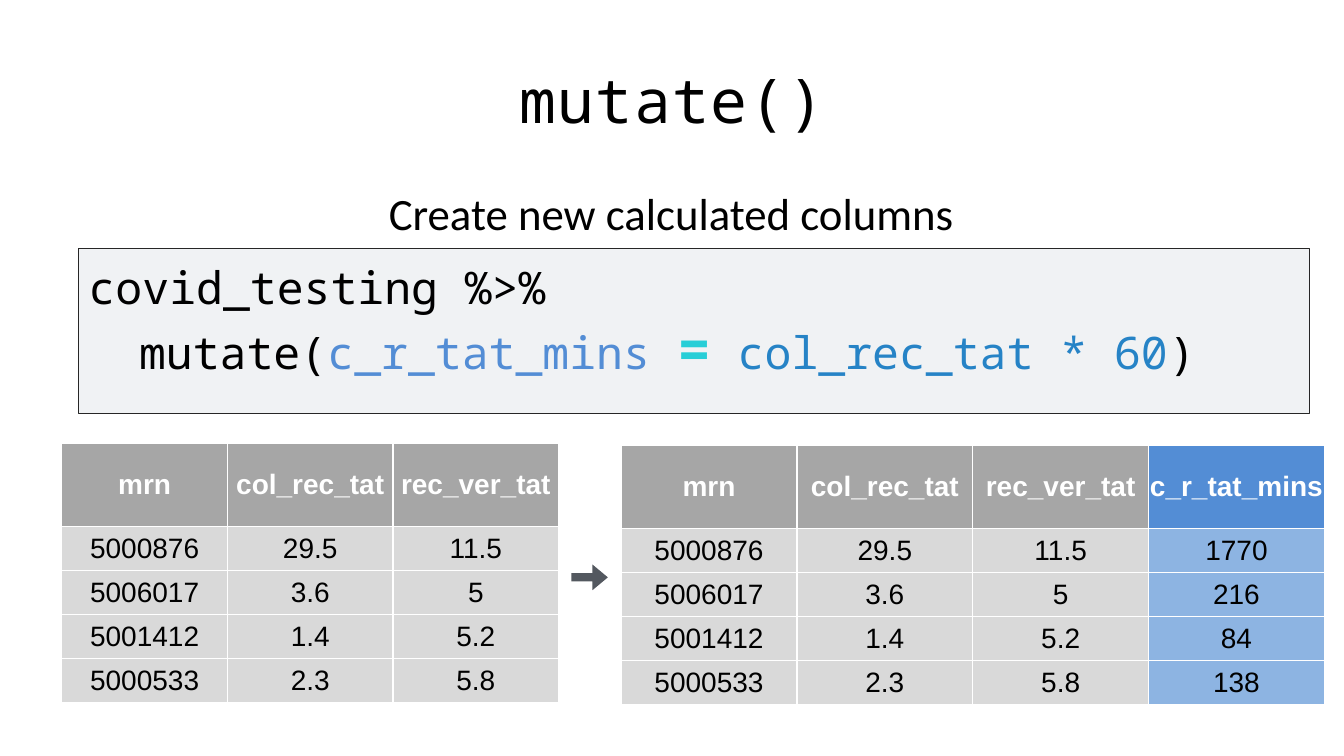
"""Build the mutate() slide: code example with before and after tables."""
import pptx
import pptx.dml.color
import pptx.enum.shapes
import pptx.enum.text
import pptx.oxml
import pptx.oxml.ns
import pptx.util

Pt = pptx.util.Pt
CENTER = pptx.enum.text.PP_ALIGN.CENTER
COLORS = {
    "black": "000000", "white": "FFFFFF", "panel": "F0F2F4", "outline": "262626",
    "new": "538DD5", "new_light": "8DB4E2", "equals": "27CED7", "expr": "2683C6",
    "head": "A6A6A6", "body": "D9D9D9", "arrow": "53585F",
}
MONO = "Noto Sans Mono"


def rgb(name):
    return pptx.dml.color.RGBColor.from_string(COLORS[name])


def add_run(p, text, color, **font):
    r = p.add_run()
    r.text = text
    r.font.color.rgb = rgb(color)
    for key, value in font.items():
        setattr(r.font, key, value)
    return r


prs = pptx.Presentation()
prs.slide_width, prs.slide_height = Pt(960), Pt(540)
s = prs.slides.add_slide(prs.slide_layouts[6])

SHAPE = pptx.enum.shapes.MSO_SHAPE
panel = s.shapes.add_shape(SHAPE.RECTANGLE, Pt(56.2), Pt(177.6), Pt(879), Pt(117.8))
arrow = s.shapes.add_shape(SHAPE.RIGHT_ARROW, Pt(408.2), Pt(403.2), Pt(26), Pt(18.4))
arrow.adjustments[0], arrow.adjustments[1] = 0.32, 0.6
for sp, fill in ((panel, "panel"), (arrow, "arrow")):
    sp.shadow.inherit = False
    sp.fill.solid()
    sp.fill.fore_color.rgb = rgb(fill)
    sp.line.fill.background()
panel.line.color.rgb = rgb("outline")
panel.line.width = Pt(0.75)

code = [
    [("covid_testing %>%", "black", {})],
    [
        ("\tmutate(", "black", {}),
        ("c_r_tat_mins ", "new", {}),
        ("=", "equals", {"size": Pt(40), "bold": True}),
        (" ", "black", {}),
        ("col_rec_tat * 60", "expr", {}),
        (")", "black", {}),
    ],
]
tf = s.shapes.add_textbox(Pt(56.2), Pt(182.2), Pt(912), Pt(94.3)).text_frame
tf.word_wrap = True
for i, line in enumerate(code):
    p = tf.add_paragraph() if i else tf.paragraphs[0]
    for text, color, font in line:
        add_run(p, text, color, **{"name": MONO, "size": Pt(32), **font})

headings = [
    ("mutate()", (0, 54, 960, 61.2), 0.8, "100", {"name": MONO, "size": Pt(44)}),
    ("Create new calculated columns", (167, 131.8, 625, 38.2), 1.0, "0",
     {"name": "Calibri", "size": Pt(32)}),
]
for text, box, line_spacing, tracking, font in headings:
    tf = s.shapes.add_textbox(*map(Pt, box)).text_frame
    frame = {"word_wrap": True, "margin_left": 0, "margin_right": 0,
             "margin_top": Pt(0.7), "margin_bottom": 0}
    for key, value in frame.items():
        setattr(tf, key, value)
    p = tf.paragraphs[0]
    p.alignment, p.line_spacing = CENTER, line_spacing
    r = add_run(p, text, "black", **font)
    r.font._element.set("spc", tracking)

rows = [
    ("mrn", "col_rec_tat", "rec_ver_tat", "c_r_tat_mins"),
    ("5000876", "29.5", "11.5", "1770"),
    ("5006017", "3.6", "5", "216"),
    ("5001412", "1.4", "5.2", "84"),
    ("5000533", "2.3", "5.8", "138"),
]
cell_format = {"margin_left": 0, "margin_right": 0, "margin_top": 0, "margin_bottom": 0,
               "vertical_anchor": pptx.enum.text.MSO_ANCHOR.MIDDLE}
for left, top, col_width, n_cols in ((44.2, 316.9, 118.3, 3), (443.7, 318.3, 125.6, 4)):
    table = s.shapes.add_table(len(rows), n_cols, Pt(left), Pt(top),
                               Pt(col_width * n_cols), Pt(185)).table
    for col in table.columns:
        col.width = Pt(col_width)
    for i, row in enumerate(rows):
        table.rows[i].height = Pt(31.45 if i else 59.2)
        for j, text in enumerate(row[:n_cols]):
            cell = table.cell(i, j)
            for key, value in cell_format.items():
                setattr(cell, key, value)
            for side in ("lnL", "lnR", "lnT", "lnB"):
                cell._tc.get_or_add_tcPr().append(pptx.oxml.parse_xml(
                    f'<a:{side} {pptx.oxml.ns.nsdecls("a")} w="12700"><a:solidFill>'
                    f'<a:srgbClr val="{COLORS["white"]}"/></a:solidFill></a:{side}>'))
            head, body = ("new", "new_light") if j == 3 else ("head", "body")
            cell.fill.solid()
            cell.fill.fore_color.rgb = rgb(body if i else head)
            p = cell.text_frame.paragraphs[0]
            p.alignment = CENTER
            add_run(p, text, "black" if i else "white",
                    name="Arial", size=Pt(20), bold=i == 0)

prs.save("out.pptx")
